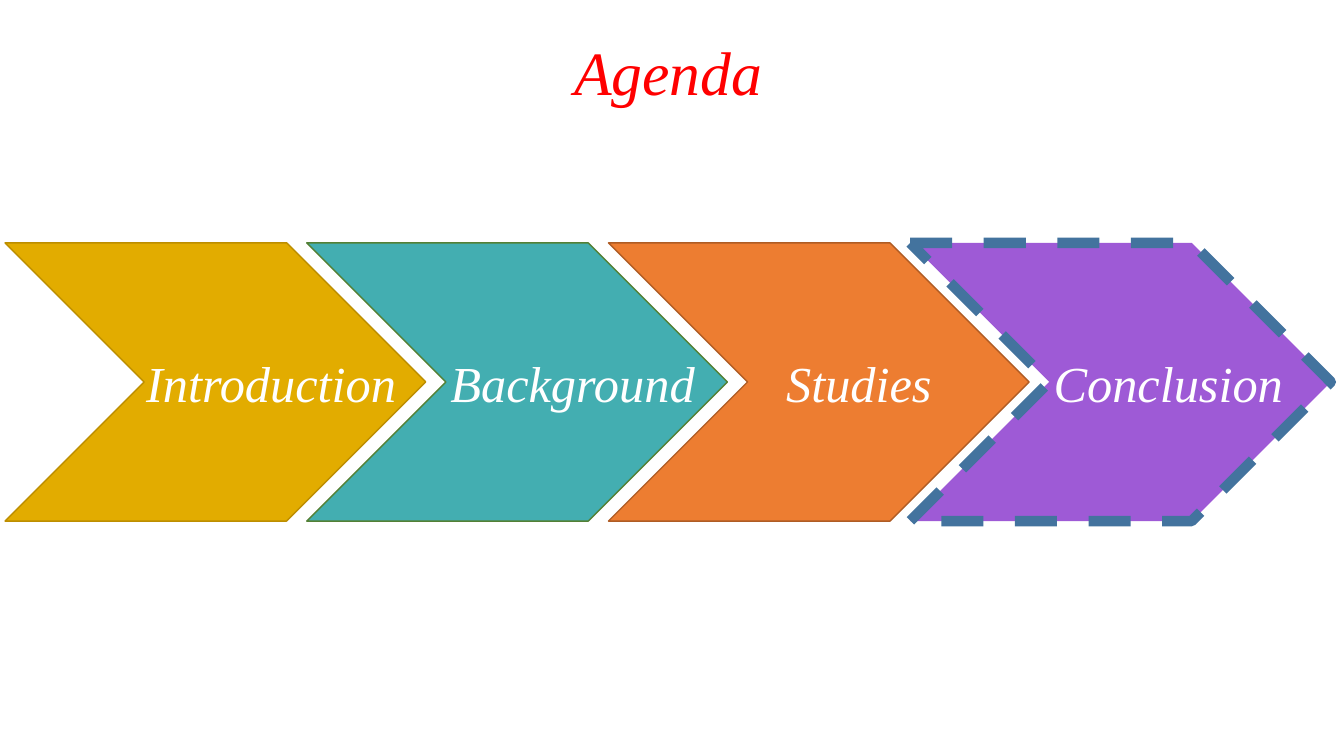
"""Build an agenda slide with four chevron steps."""
import pptx
import pptx.util
import pptx.dml.color
import pptx.enum.dml
import pptx.enum.shapes
import pptx.enum.text

Pt = pptx.util.Pt


def color(code):
    return pptx.dml.color.RGBColor.from_string(code)


def label(slide, text, left, top, high, size, code):
    box = slide.shapes.add_textbox(Pt(left), Pt(top), Pt(617.8), Pt(high))
    frame = box.text_frame
    frame.word_wrap = True
    frame.auto_size = pptx.enum.text.MSO_AUTO_SIZE.SHAPE_TO_FIT_TEXT
    para = frame.paragraphs[0]
    para.alignment = pptx.enum.text.PP_ALIGN.CENTER
    run = para.add_run()
    run.text = text
    style = {"name": "Times New Roman", "size": Pt(size), "italic": True}
    for key, value in style.items():
        setattr(run.font, key, value)
    run.font.color.rgb = color(code)


deck = pptx.Presentation()
deck.slide_width, deck.slide_height = Pt(960), Pt(540)
slide = deck.slides.add_slide(deck.slide_layouts[6])

steps = [
    ("Introduction", -115.2, "E2AC00", "BD8E00", 1, None),
    ("Background", 100.1, "43AEB1", "538035", 1, None),
    ("Studies", 304.6, "ED7D31", "AF5C24", 1, None),
    ("Conclusion", 525.6, "9E5AD6", "43739E", 7.5,
     pptx.enum.dml.MSO_LINE.DASH),
]

for index, (text, left, fill, edge, width, dash) in enumerate(steps):
    arrow = slide.shapes.add_shape(
        pptx.enum.shapes.MSO_SHAPE.CHEVRON,
        Pt(3.6 + 215.5 * index), Pt(173.5), Pt(300.5), Pt(198.7))
    arrow.shadow.inherit = False
    arrow.fill.solid()
    arrow.fill.fore_color.rgb = color(fill)
    arrow.line.color.rgb = color(edge)
    for key, value in {"width": Pt(width), "dash_style": dash}.items():
        setattr(arrow.line, key, value)

label(slide, "Agenda", 168.5, 20.9, 60.5, 44, "FF0000")
for text, left, *rest in steps:
    label(slide, text, left, 247.7, 51.1, 36, "FFFFFF")

deck.save("out.pptx")
